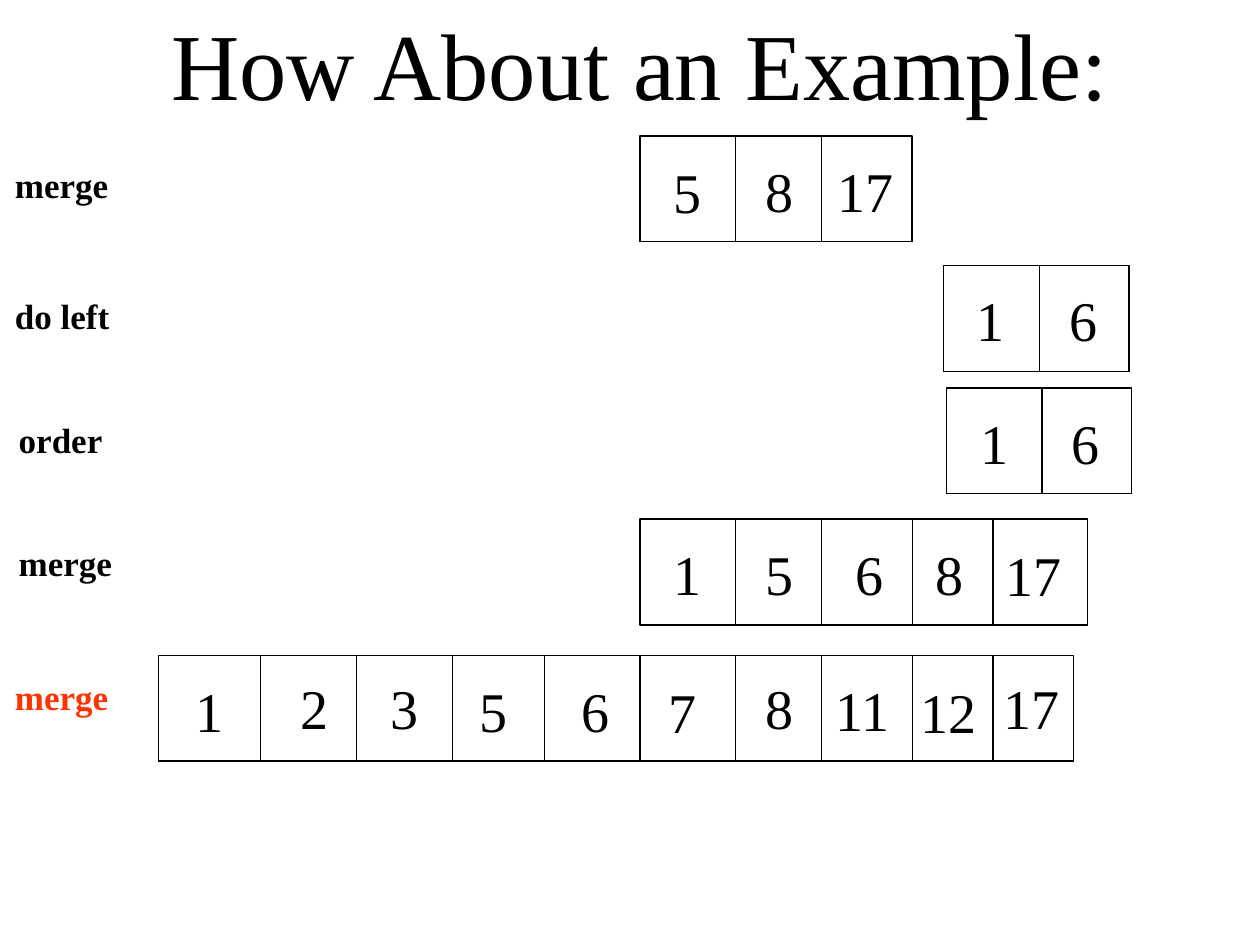
from pptx import Presentation
from pptx import util as u
from pptx.dml.color import RGBColor
from pptx.enum import shapes, text
from pptx.oxml.ns import qn
from lxml import etree

FONT = "Times New Roman"
BLACK, RED = "000000", "FF3300"
ROW_HEIGHT = 0.84
NUMBER_HEIGHT = 0.64
NUMBER_WIDTHS = {1: 0.43, 2: 0.66}

TITLE = ("How About an Example:", 1.26, 0, 7.68, 1)

STEPS = [
    {"label": ("merge", 0.02, 1.25, 0.95), "color": BLACK,
     "box": (5.08, 1.08, 2.16), "dividers": [5.08, 5.84, 6.52, 7.24],
     "numbers": [("5", 5.25, 1.2), ("8", 5.98, 1.19), ("17", 6.55, 1.19)]},
    {"label": ("do left", 0.02, 2.29, 0.96), "color": BLACK,
     "box": (7.49, 2.11, 1.47), "dividers": [7.49, 8.25],
     "numbers": [("1", 7.65, 2.22), ("6", 8.39, 2.22)]},
    {"label": ("order", 0.05, 3.27, 0.88), "color": BLACK,
     "box": (7.51, 3.08, 1.47), "dividers": [7.51, 8.27],
     "numbers": [("1", 7.68, 3.19), ("6", 8.41, 3.19)]},
    {"label": ("merge", 0.05, 4.25, 0.95), "color": BLACK,
     "box": (5.08, 4.12, 3.55), "dividers": [5.08, 5.84, 6.52, 7.24, 7.88],
     "numbers": [("1", 5.25, 4.23), ("5", 5.98, 4.23), ("6", 6.69, 4.23),
                 ("8", 7.33, 4.23), ("17", 7.88, 4.24)]},
    {"label": ("merge", 0.02, 5.31, 0.95), "color": RED,
     "box": (1.26, 5.2, 7.26),
     "dividers": [2.07, 2.83, 3.59, 4.32, 5.08, 5.84, 6.52, 7.24, 7.88],
     "numbers": [("1", 1.45, 5.32), ("2", 2.29, 5.3), ("3", 3, 5.3),
                 ("5", 3.71, 5.32), ("6", 4.52, 5.32), ("7", 5.21, 5.33),
                 ("8", 5.98, 5.3), ("11", 6.53, 5.31), ("12", 7.21, 5.33),
                 ("17", 7.87, 5.3)]},
]


def rgb(value):
    return RGBColor.from_string(value)


def add_text(slide, words, left, top, width, height, size, color=BLACK, bold=False):
    box = slide.shapes.add_textbox(*map(u.Inches, (left, top, width, height)))
    frame = box.text_frame
    frame.word_wrap = False
    frame.auto_size = text.MSO_AUTO_SIZE.SHAPE_TO_FIT_TEXT
    run = frame.paragraphs[0].add_run()
    run.text = words
    run.font.name = FONT
    run.font.size = u.Pt(size)
    run.font.bold = bold
    run.font.color.rgb = rgb(color)


def style_line(line):
    line.color.rgb = rgb(BLACK)
    line.width = u.Pt(0.75)


def add_row_box(slide, left, top, width):
    box = slide.shapes.add_shape(shapes.MSO_SHAPE.RECTANGLE,
                                 *map(u.Inches, (left, top, width, ROW_HEIGHT)))
    box.shadow.inherit = False
    box.fill.background()
    style_line(box.line)


def add_divider(slide, x, top):
    divider = slide.shapes.add_connector(
        shapes.MSO_CONNECTOR.STRAIGHT,
        *map(u.Inches, (x, top, x, top + ROW_HEIGHT)))
    style_line(divider.line)
    etree.SubElement(divider._element.spPr, qn("a:effectLst"))


def add_step(slide, step):
    label, left, top, width = step["label"]
    add_text(slide, label, left, top, width, 0.44, 20, step["color"], True)
    add_row_box(slide, *step["box"])
    for x in step["dividers"]:
        add_divider(slide, x, step["box"][1])
    for number, x, y in step["numbers"]:
        add_text(slide, number, x, y, NUMBER_WIDTHS[len(number)], NUMBER_HEIGHT, 32)


def main():
    deck = Presentation()
    deck.slide_width, deck.slide_height = u.Inches(10), u.Inches(7.5)
    slide = deck.slides.add_slide(deck.slide_layouts[6])
    add_text(slide, *TITLE, 54)
    for step in STEPS:
        add_step(slide, step)
    deck.save("out.pptx")


if __name__ == "__main__":
    main()
